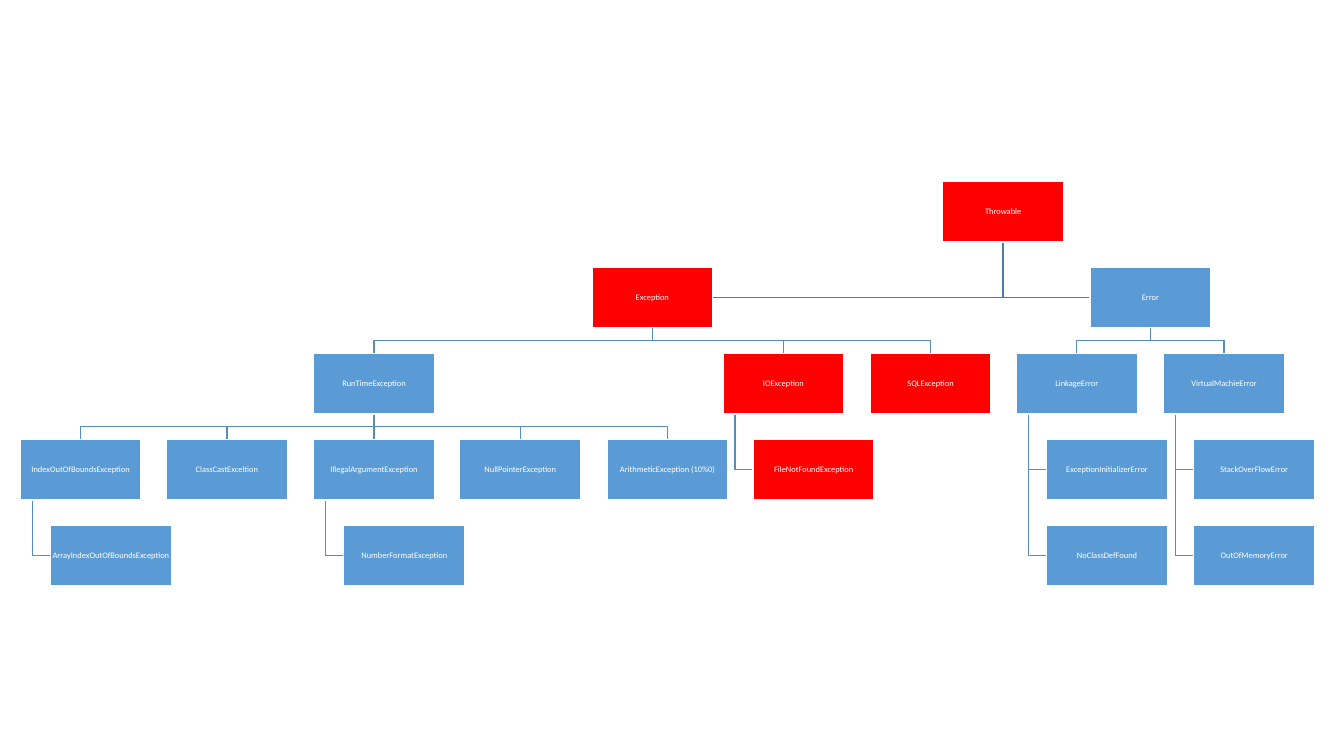
from pptx import Presentation
from pptx import util as u
from pptx.dml.color import RGBColor
from pptx.enum import shapes, text
from lxml import etree

RED = RGBColor(0xFF, 0x00, 0x00)
BLUE = RGBColor(0x5B, 0x9B, 0xD5)
WHITE = RGBColor(0xFF, 0xFF, 0xFF)
LINK_BLUE = RGBColor(0x53, 0x8D, 0xC1)
ROOT_LINK_BLUE = RGBColor(0x49, 0x7C, 0xAB)

SIDE, DROP, HANG = "side", "drop", "hang"

# name, parent, link from parent, left px, level, fill
CLASSES = [
    ("Throwable", None, None, 935, 0, RED),
    ("Exception", "Throwable", SIDE, 587, 1, RED),
    ("RunTimeException", "Exception", DROP, 311, 2, BLUE),
    ("IndexOutOfBoundsException", "RunTimeException", DROP, 20, 3, BLUE),
    ("ArrayIndexOutOfBoundsException", "IndexOutOfBoundsException", HANG, 50, 4, BLUE),
    ("ClassCastExceltion", "RunTimeException", DROP, 165, 3, BLUE),
    ("IllegalArgumentException", "RunTimeException", DROP, 311, 3, BLUE),
    ("NumberFormatException", "IllegalArgumentException", HANG, 341, 4, BLUE),
    ("NullPointerException", "RunTimeException", DROP, 456, 3, BLUE),
    ("ArithmeticException (10%0)", "RunTimeException", DROP, 602, 3, BLUE),
    ("IOException", "Exception", DROP, 717, 2, RED),
    ("FileNotFoundException", "IOException", HANG, 747, 3, RED),
    ("SQLException", "Exception", DROP, 863, 2, RED),
    ("Error", "Throwable", SIDE, 1081, 1, BLUE),
    ("LinkageError", "Error", DROP, 1008, 2, BLUE),
    ("ExceptionInitializerError", "LinkageError", HANG, 1038, 3, BLUE),
    ("NoClassDefFound", "LinkageError", HANG, 1038, 4, BLUE),
    ("VirtualMachieError", "Error", DROP, 1154, 2, BLUE),
    ("StackOverFlowError", "VirtualMachieError", HANG, 1184, 3, BLUE),
    ("OutOfMemoryError", "VirtualMachieError", HANG, 1184, 4, BLUE),
]

PX = 9144
SLIDE_WIDTH, SLIDE_HEIGHT = 1333, 750
BOX_WIDTH, BOX_HEIGHT = 120, 60
FIRST_TOP, LEVEL_STEP = 180, 85.3
HANG_INSET = 12


def top_of(level):
    return FIRST_TOP + round(LEVEL_STEP * level)


def link_points(parent, child, link):
    parent_left, parent_top = parent
    left, top = child
    parent_centre = parent_left + BOX_WIDTH // 2
    parent_bottom = parent_top + BOX_HEIGHT
    centre = left + BOX_WIDTH // 2
    middle = top + BOX_HEIGHT // 2
    if link == HANG:
        spine = parent_left + HANG_INSET
        return [(spine, parent_bottom), (spine, middle), (left, middle)]
    if link == SIDE:
        edge = left if left > parent_left else left + BOX_WIDTH
        return [(parent_centre, parent_bottom), (parent_centre, middle), (edge, middle)]
    if centre == parent_centre:
        return [(centre, parent_bottom), (centre, top)]
    bend = (parent_bottom + top) // 2
    return [(parent_centre, parent_bottom), (parent_centre, bend), (centre, bend), (centre, top)]


def add_link(slide, points, color):
    if len(points) == 2:
        ends = [value * PX for point in points for value in point]
        shape = slide.shapes.add_connector(shapes.MSO_CONNECTOR.STRAIGHT, *ends)
        properties = shape._element.spPr
        namespace = "http://schemas.openxmlformats.org/drawingml/2006/main"
        shape.line.color.rgb = color
        etree.SubElement(properties, f"{{{namespace}}}effectLst")
    else:
        builder = slide.shapes.build_freeform(*points[0], scale=PX)
        builder.add_line_segments(points[1:], close=False)
        shape = builder.convert_to_shape()
        shape.fill.background()
        shape.shadow.inherit = False
        shape.line.color.rgb = color
    shape.line.width = u.Pt(1)


def write_text(shape, content, size=6, color=WHITE, font="Calibri", spacing=0.9):
    frame = shape.text_frame
    frame.word_wrap = True
    frame.vertical_anchor = text.MSO_ANCHOR.MIDDLE
    frame.margin_left = frame.margin_right = frame.margin_top = frame.margin_bottom = 0
    paragraph = frame.paragraphs[0]
    paragraph.alignment = text.PP_ALIGN.CENTER
    paragraph.line_spacing = spacing
    run = paragraph.add_run()
    run.text = content
    run.font.size = u.Pt(size)
    run.font.name = font
    run.font.color.rgb = color


def add_box(slide, name, left, top, fill):
    shape = slide.shapes.add_shape(
        shapes.MSO_SHAPE.RECTANGLE, left * PX, top * PX, BOX_WIDTH * PX, BOX_HEIGHT * PX)
    shape.shadow.inherit = False
    shape.fill.solid()
    shape.fill.fore_color.rgb = fill
    shape.line.color.rgb = WHITE
    shape.line.width = u.Pt(1)
    write_text(shape, name)


def main():
    presentation = Presentation()
    presentation.slide_width = SLIDE_WIDTH * PX
    presentation.slide_height = SLIDE_HEIGHT * PX
    slide = presentation.slides.add_slide(presentation.slide_layouts[6])
    places = {name: (left, top_of(level)) for name, _, _, left, level, _ in CLASSES}
    for name, parent, link, *_ in CLASSES:
        if parent:
            color = ROOT_LINK_BLUE if link == SIDE else LINK_BLUE
            add_link(slide, link_points(places[parent], places[name], link), color)
    for name, *_, fill in CLASSES:
        add_box(slide, name, *places[name], fill)
    presentation.save("out.pptx")


if __name__ == "__main__":
    main()
